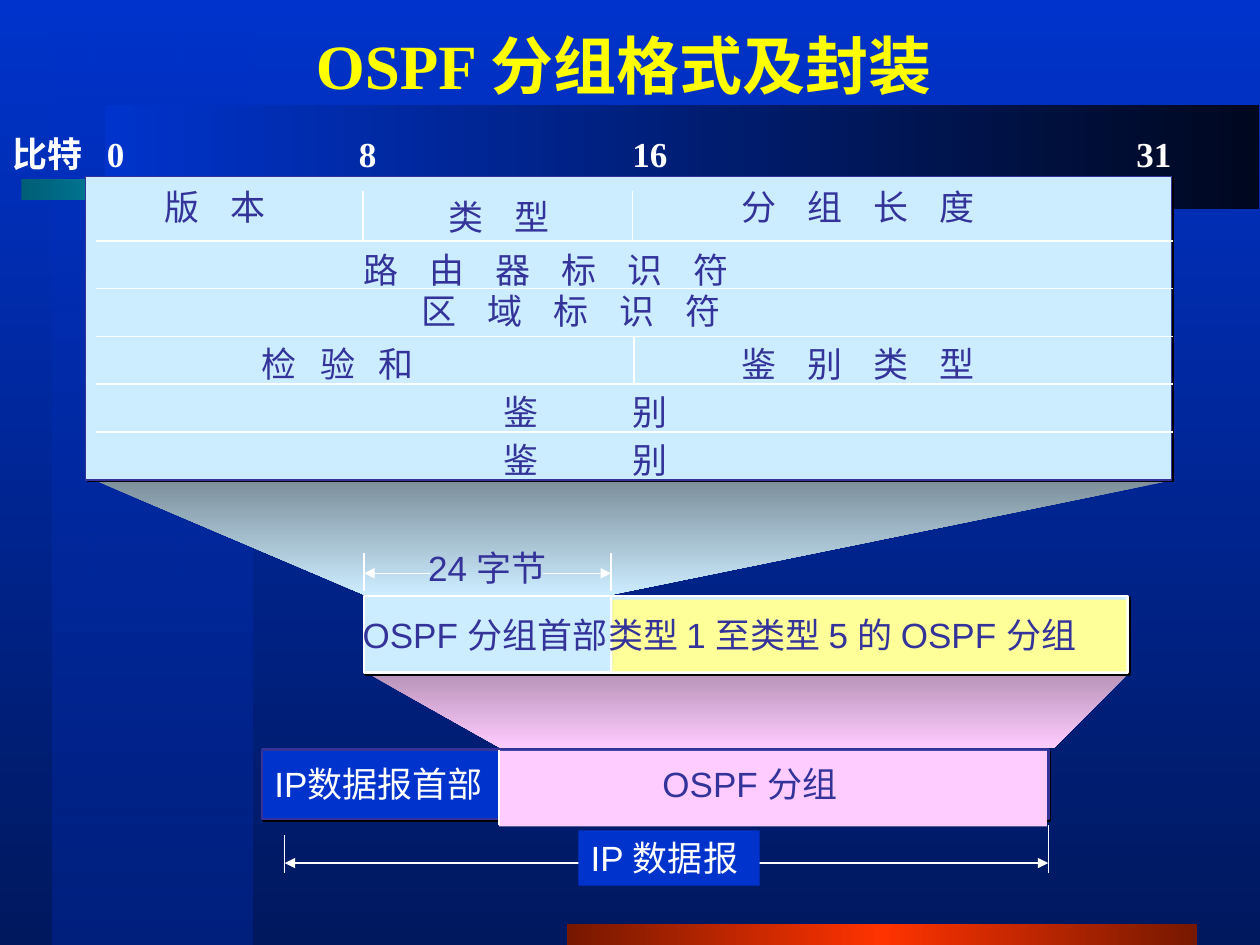
import collections

import lxml.etree
import pptx
import pptx.dml.color
import pptx.enum.shapes
import pptx.enum.text
import pptx.oxml.ns
import pptx.util

Inches = pptx.util.Inches
Pt = pptx.util.Pt
RGBColor = pptx.dml.color.RGBColor
qn = pptx.oxml.ns.qn
Box = collections.namedtuple("Box", "left top width height")

WHITE = RGBColor(0xFF, 0xFF, 0xFF)
BLACK = RGBColor(0x00, 0x00, 0x00)
YELLOW = RGBColor(0xFF, 0xFF, 0x01)
BLUE = RGBColor(0x00, 0x33, 0xCC)
MIDNIGHT = RGBColor(0x00, 0x18, 0x5E)
NAVY = RGBColor(0x00, 0x20, 0x7E)
INK = RGBColor(0x00, 0x08, 0x1F)
INDIGO = RGBColor(0x33, 0x33, 0x99)
TEAL = RGBColor(0x00, 0x5E, 0x76)
CYAN = RGBColor(0x00, 0xCC, 0xFF)
MAROON = RGBColor(0x76, 0x18, 0x00)
RED = RGBColor(0xFF, 0x33, 0x00)
PALE_BLUE = RGBColor(0xCC, 0xEC, 0xFF)
SLATE = RGBColor(0x7C, 0x8F, 0x9B)
PINK = RGBColor(0xFF, 0xCC, 0xFF)
MAUVE = RGBColor(0xB9, 0x94, 0xB9)
CREAM = RGBColor(0xFF, 0xFF, 0x99)

BODY = {"name": "Arial", "size": Pt(20), "bold": False}
SCALE = {"name": "Times New Roman", "size": Pt(20), "bold": True}
UNIT = {"name": "Arial", "size": Pt(20), "bold": True}
HEADING = {"name": "Times New Roman", "size": Pt(36), "bold": True}
FRAME = {
    "word_wrap": False,
    "auto_size": pptx.enum.text.MSO_AUTO_SIZE.SHAPE_TO_FIT_TEXT,
    "margin_left": Inches(0.1),
    "margin_right": Inches(0.1),
    "margin_top": Inches(0.05),
    "margin_bottom": Inches(0.05),
}
DOWN, ACROSS = 270, 0


def set_values(target, values):
    for name, value in values.items():
        setattr(target, name, value)


def add_node(parent, tag, **attributes):
    return lxml.etree.SubElement(parent, qn(tag), attributes)


def paint_gradient(fill, holder, colors, angle, first_alpha=None):
    fill.gradient()
    fill.gradient_angle = angle
    stops = holder.find(".//" + qn("a:gsLst"))
    for stop in list(stops):
        stops.remove(stop)
    for index, color in enumerate(colors):
        stop = add_node(stops, "a:gs", pos=str(index * 100000 // (len(colors) - 1)))
        tone = add_node(stop, "a:srgbClr", val=str(color))
        if index == 0 and first_alpha:
            add_node(tone, "a:alpha", val=str(first_alpha * 1000))


def add_block(page, box, fill=None, line=None, weight=0.75, shadow=False):
    block = page.shapes.add_shape(
        pptx.enum.shapes.MSO_SHAPE.RECTANGLE, *[Inches(length) for length in box]
    )
    block.shadow.inherit = False
    if fill:
        block.fill.solid()
        block.fill.fore_color.rgb = fill
    if line:
        block.line.color.rgb = line
        block.line.width = Pt(weight)
    else:
        block.line.fill.background()
    if shadow:
        effects = block.element.spPr.find(qn("a:effectLst"))
        drop = add_node(effects, "a:outerShdw", blurRad="0", dist="17780", dir="2700000")
        add_node(drop, "a:srgbClr", val=str(BLACK))
    return block


def write_text(frame, words, font, color, spacing=0):
    para = frame.paragraphs[0]
    span = para.add_run()
    span.text = words
    set_values(span.font, font)
    span.font.color.rgb = color
    if spacing:
        span._r.get_or_add_rPr().set("spc", str(round(spacing * 100)))
    return para


def add_label(page, left, top, width, words, color=INDIGO, font=BODY, spacing=0):
    label = page.shapes.add_textbox(Inches(left), Inches(top), Inches(width), Inches(0.44))
    set_values(label.text_frame, FRAME)
    write_text(label.text_frame, words, font, color, spacing)
    return label


def add_line(page, start, end, weight=0.75, arrows=()):
    line = page.shapes.add_connector(
        pptx.enum.shapes.MSO_CONNECTOR.STRAIGHT,
        *[Inches(length) for length in (*start, *end)],
    )
    line.line.color.rgb = WHITE
    line.line.width = Pt(weight)
    properties = line._element.spPr
    for arrow in arrows:
        add_node(properties.find(qn("a:ln")), arrow, type="triangle")
    add_node(properties, "a:effectLst")


def draw_backdrop(page, box):
    paint_gradient(page.background.fill, page.element, (BLUE, MIDNIGHT), DOWN)
    strips = [
        (Box(0.42, 0, 1.58, box.height), (BLUE, NAVY), DOWN, 50),
        (Box(4.5, 7.33, 5, 0.17), (MAROON, RED, MAROON), ACROSS, None),
        (Box(0.83, 0.83, 9.16, 0.83), (BLUE, INK), ACROSS, None),
        (Box(0.17, 1.42, 5.17, 0.17), (TEAL, CYAN, TEAL), ACROSS, None),
    ]
    for area, colors, angle, alpha in strips:
        strip = add_block(page, area._replace(left=box.left + area.left, top=box.top + area.top))
        paint_gradient(strip.fill, strip.element, colors, angle, alpha)


def draw_title(page, box, words):
    title = page.shapes.title
    page.shapes.element.append(title.element)
    set_values(title, {name: Inches(length) for name, length in box._asdict().items()})
    frame = title.text_frame
    set_values(frame, {
        **FRAME,
        "word_wrap": True,
        "auto_size": pptx.enum.text.MSO_AUTO_SIZE.NONE,
        "vertical_anchor": pptx.enum.text.MSO_ANCHOR.MIDDLE,
        "margin_right": Inches(0.22),
    })
    para = write_text(frame, words, HEADING, YELLOW)
    para.alignment = pptx.enum.text.PP_ALIGN.CENTER


def draw_funnel(page, box, corners, colors):
    points = [(Inches(box.left + x), Inches(box.top + y)) for x, y in corners]
    builder = page.shapes.build_freeform(*points[0])
    builder.add_line_segments(points[1:], close=True)
    funnel = builder.convert_to_shape()
    funnel.shadow.inherit = False
    funnel.line.fill.background()
    paint_gradient(funnel.fill, funnel.element, colors, DOWN)


def draw_datagram(page, box):
    left, top, right = box.left, box.top, box.left + box.width
    split = left + 1.88
    add_line(page, (left + 0.18, top + 0.9), (right, top + 0.9), arrows=("a:headEnd", "a:tailEnd"))
    add_block(page, Box(left + 2.51, top + 0.64, 1.44, 0.44), BLUE)
    add_label(page, left + 2.51, top + 0.64, 1.44, "IP 数据报", WHITE)
    add_block(page, box, BLUE, INDIGO, 1.5, shadow=True)
    add_block(page, Box(split, top + 0.01, 4.35, 0.6), PINK)
    add_line(page, (split, top), (split, top + 0.6))
    add_label(page, left, top + 0.05, 1.98, "IP数据报首部", WHITE)
    add_label(page, left + 3.08, top + 0.05, 1.66, "OSPF 分组")
    add_line(page, (left + 0.18, top + 0.68), (left + 0.18, top + 0.98))
    add_line(page, (right, top + 0.6), (right, top + 0.98))


def draw_packet(page, box):
    left, top, split = box.left, box.top, box.left + 1.96
    add_block(page, box, PALE_BLUE, WHITE, 1.5, shadow=True)
    add_block(page, Box(split + 0.01, top + 0.03, 4.08, 0.57), CREAM)
    add_line(page, (split, top), (split, top + box.height))
    add_label(page, left - 0.11, top + 0.09, 2.4, "OSPF 分组首部")
    add_label(page, left + 1.84, top + 0.09, 4.54, "类型 1 至类型 5 的 OSPF 分组")
    for edge in (left, split):
        add_line(page, (edge, top - 0.34), (edge, top - 0.04))
    for start, end in ((left + 0.52, left), (left + 1.42, split)):
        add_line(page, (start, top - 0.18), (end, top - 0.18), arrows=("a:tailEnd",))
    add_label(page, left + 0.41, top - 0.44, 1.21, "24 字节")


def draw_header(page, box):
    left, top = box.left, box.top
    add_block(page, box, PALE_BLUE, INDIGO, shadow=True)
    rules = [top + 0.51 + 0.38 * row for row in range(5)]
    for rule in rules:
        add_line(page, (left + 0.08, rule), (left + box.width + 0.01, rule), 1)
    for x, start, end in (
        (2.2, top + 0.12, rules[0]),
        (4.34, top + 0.12, rules[0]),
        (4.35, rules[2], rules[3]),
    ):
        add_line(page, (left + x, start), (left + x, end), 1)
    for x, width, mark in ((0.07, 0.34, "0"), (2.07, 0.34, "8"), (4.24, 0.48, "16"), (8.24, 0.48, "31")):
        add_label(page, left + x, top - 0.4, width, mark, WHITE, SCALE)
    add_label(page, left - 0.68, top - 0.4, 0.76, "比特", WHITE, UNIT)
    fields = [
        (0.53, 0.02, 1.31, "版 本", 6.6),
        (2.78, 0.1, 1.31, "类 型", 6.6),
        (5.11, 0.02, 2.98, "分 组 长 度", 6.6),
        (2.11, 0.52, 4.65, "路 由 器 标 识 符", 6.6),
        (2.57, 0.85, 3.82, "区 域 标 识 符", 6.6),
        (1.3, 1.27, 1.87, "检 验 和", 4.4),
        (5.11, 1.27, 2.98, "鉴 别 类 型", 6.6),
        (3.22, 1.65, 2.43, "鉴 别", 24.5),
        (3.22, 2.03, 2.43, "鉴 别", 24.5),
    ]
    for x, y, width, words, spacing in fields:
        add_label(page, left + x, top + y, width, words, spacing=spacing)


def main():
    deck = pptx.Presentation()
    deck.slide_width, deck.slide_height = Inches(10), Inches(7.5)
    page = deck.slides.add_slide(deck.slide_layouts[5])
    draw_backdrop(page, Box(0, 0, 10, 7.5))
    draw_title(page, Box(0.75, 0.13, 8.52, 0.76), "OSPF 分组格式及封装")
    draw_funnel(page, Box(0.75, 3.81, 8.56, 0.91),
                [(0, 0), (8.56, 0), (4.1, 0.91), (2.14, 0.91)], (SLATE, PALE_BLUE))
    draw_funnel(page, Box(2.93, 5.35, 6.02, 0.59),
                [(0, 0), (6.02, 0), (5.43, 0.59), (1.05, 0.59)], (MAUVE, PINK))
    draw_datagram(page, Box(2.08, 5.95, 6.24, 0.55))
    draw_packet(page, Box(2.89, 4.73, 6.06, 0.61))
    draw_header(page, Box(0.68, 1.4, 8.62, 2.41))
    deck.save("out.pptx")


if __name__ == "__main__":
    main()
